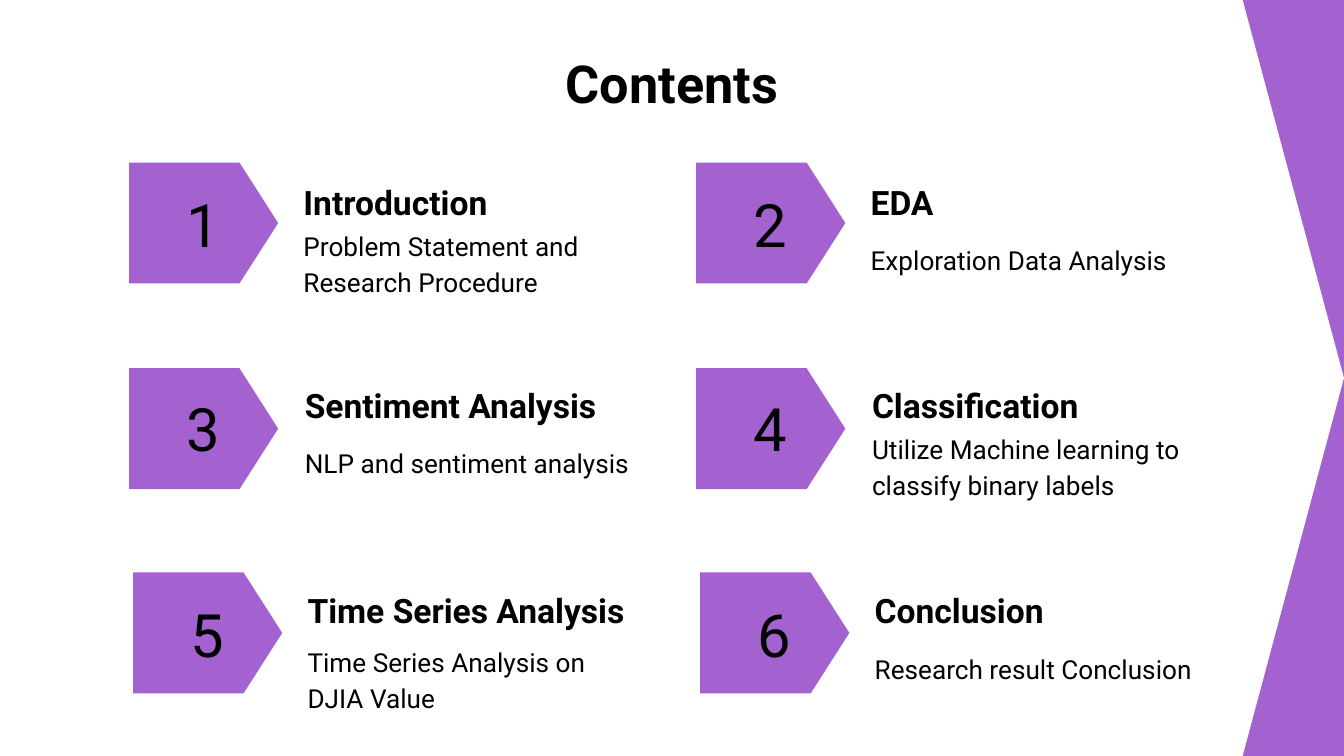
from dataclasses import dataclass

import pptx
import pptx.dml.color
import pptx.enum.shapes
import pptx.enum.text
import pptx.util

Inches = pptx.util.Inches
Align = pptx.enum.text.PP_ALIGN
Anchor = pptx.enum.text.MSO_ANCHOR


@dataclass(frozen=True)
class Theme:
    font: str = "Roboto"
    accent: str = "A461D0"
    paper: str = "FFFFFF"
    ink: str = "000000"
    title_size: int = 28
    number_size: int = 32
    heading_size: int = 18
    description_size: int = 14


@dataclass(frozen=True)
class Row:
    badge_left: float
    badge_top: float
    number_top: float
    text_left: float
    heading_top: float


@dataclass(frozen=True)
class Entry:
    heading: str
    description: str
    width: float = 2.6
    height: float = 0.4
    drop: float = 0.44  # from heading top to description top


THEME = Theme()
WIDTH = 10
HEIGHT = WIDTH * 9 / 16
COLUMN_STEP = 4.22
ROWS = [
    Row(0.96, 1.21, 1.35, 2.16, 1.28),
    Row(0.96, 2.74, 2.87, 2.17, 2.79),
    Row(0.99, 4.26, 4.4, 2.19, 4.32),
]
ENTRIES = [
    Entry("Introduction", "Problem Statement and Research Procedure", height=0.46),
    Entry("EDA", "Exploration Data Analysis"),
    Entry("Sentiment Analysis", "NLP and sentiment analysis", width=2.83),
    Entry("Classification", "Utilize Machine learning to classify binary labels",
          height=0.46),
    Entry("Time Series Analysis", "Time Series Analysis on DJIA Value", drop=0.52),
    Entry("Conclusion", "Research result Conclusion"),
]


def color(value):
    return pptx.dml.color.RGBColor.from_string(value)


def add_pentagon(slide, left, top, width, height, point, fill):
    """Add a right-pointing pentagon; point is its tip length over its height."""
    shape = slide.shapes.add_shape(
        pptx.enum.shapes.MSO_SHAPE.PENTAGON,
        Inches(left), Inches(top), Inches(width), Inches(height))
    shape.adjustments[0] = point
    shape.fill.solid()
    shape.fill.fore_color.rgb = color(fill)
    shape.line.fill.background()
    shape.shadow.inherit = False


def add_text(slide, left, top, width, height, text, size, bold=False,
             align=Align.LEFT, anchor=Anchor.MIDDLE, line_spacing=1.0,
             space_after=0):
    box = slide.shapes.add_textbox(
        Inches(left), Inches(top), Inches(width), Inches(height))
    frame = box.text_frame
    frame.word_wrap = True
    frame.vertical_anchor = anchor
    frame.margin_left = frame.margin_right = Inches(0.1)
    frame.margin_top = frame.margin_bottom = Inches(0.1)
    paragraph = frame.paragraphs[0]
    paragraph.alignment = align
    paragraph.line_spacing = line_spacing
    paragraph.space_after = pptx.util.Pt(space_after)
    run = paragraph.add_run()
    run.text = text
    run.font.name = THEME.font
    run.font.size = pptx.util.Pt(size)
    run.font.bold = bold
    run.font.color.rgb = color(THEME.ink)


def add_entry(slide, number, entry, row, column):
    shift = column * COLUMN_STEP
    badge_left = row.badge_left + shift
    text_left = row.text_left + shift
    add_pentagon(slide, badge_left, row.badge_top, 1.11, 0.9, 0.32, THEME.accent)
    add_text(slide, badge_left + 0.24, row.number_top, 0.63, 0.63, str(number),
             THEME.number_size, align=Align.CENTER)
    add_text(slide, text_left, row.heading_top, 2.6, 0.4, entry.heading,
             THEME.heading_size, bold=True, line_spacing=1.15, space_after=16)
    add_text(slide, text_left, row.heading_top + entry.drop, entry.width,
             entry.height, entry.description, THEME.description_size,
             line_spacing=1.15)


def add_background(slide):
    slide.background.fill.solid()
    slide.background.fill.fore_color.rgb = color(THEME.accent)
    add_pentagon(slide, 0, 0, WIDTH, HEIGHT, 0.134, THEME.paper)


def main():
    presentation = pptx.Presentation()
    presentation.slide_width = Inches(WIDTH)
    presentation.slide_height = Inches(HEIGHT)
    slide = presentation.slides.add_slide(presentation.slide_layouts[6])
    add_background(slide)
    add_text(slide, 0.78, 0.28, 8.44, 0.63, "Contents", THEME.title_size,
             bold=True, align=Align.CENTER, anchor=Anchor.TOP)
    for index, entry in enumerate(ENTRIES):
        row, column = divmod(index, 2)
        add_entry(slide, index + 1, entry, ROWS[row], column)
    presentation.save("out.pptx")


if __name__ == "__main__":
    main()
